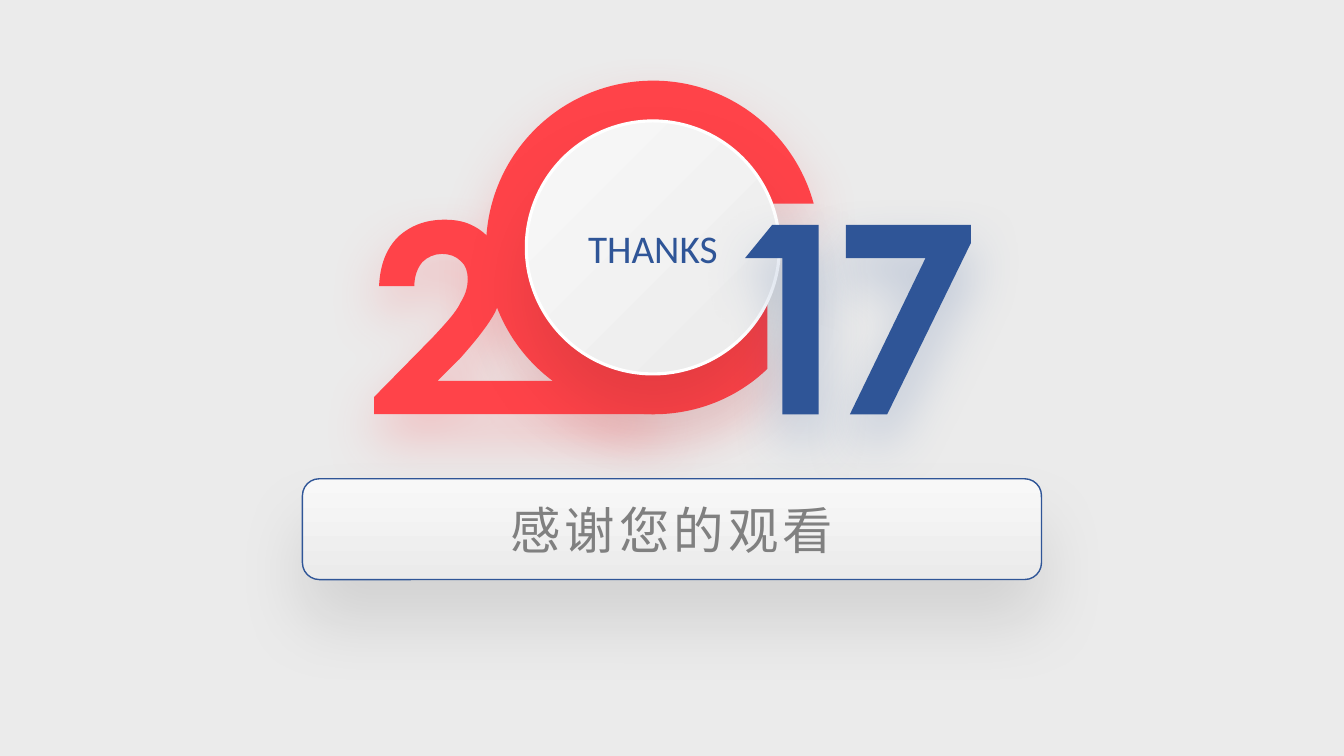
from lxml import etree
from pptx import Presentation
from pptx.dml.color import RGBColor
from pptx.enum.shapes import MSO_SHAPE
from pptx.enum.text import MSO_ANCHOR, PP_ALIGN
from pptx.oxml.ns import qn
from pptx.util import Inches, Pt

ELLIPSE, ROUNDED = MSO_SHAPE.OVAL, MSO_SHAPE.ROUNDED_RECTANGLE
MIDDLE, CENTER = MSO_ANCHOR.MIDDLE, PP_ALIGN.CENTER

COLORS = {"bg": "EBEBEB", "light": "F8F8F8", "red": "FF4349", "blue": "2F5597",
          "white": "FFFFFF", "gray": "808080", "black": "000000"}
GLOW = {"alpha": 25, "blur": 39, "dist": 18}
DROP = {"alpha": 10, "blur": 50, "dist": 30}

TWO = [(4.11, 2.84), (3.76, 2.84),
       (3.77, 2.63, 3.83, 2.47, 3.95, 2.35), (4.07, 2.24, 4.22, 2.18, 4.41, 2.18),
       (4.53, 2.18, 4.62, 2.2, 4.71, 2.25), (4.8, 2.3, 4.87, 2.37, 4.92, 2.46),
       (4.98, 2.55, 5, 2.64, 5, 2.74), (5, 2.85, 4.97, 2.97, 4.91, 3.1),
       (4.84, 3.23, 4.72, 3.38, 4.56, 3.56), (4.34, 3.78), (6.48, 3.78),
       (6.48, 4.11), (3.71, 4.11), (3.71, 3.94), (4.29, 3.35),
       (4.43, 3.2, 4.53, 3.09, 4.57, 3), (4.62, 2.92, 4.64, 2.84, 4.64, 2.77),
       (4.64, 2.7, 4.62, 2.63, 4.57, 2.59), (4.52, 2.54, 4.46, 2.52, 4.38, 2.52),
       (4.31, 2.52, 4.24, 2.55, 4.19, 2.6), (4.14, 2.66, 4.11, 2.74, 4.11, 2.84)]
ZERO = [(6.48, 4.11), (6.92, 4.11, 7.32, 3.94, 7.61, 3.66), (7.61, 3.01),
        (7.41, 3.43, 6.98, 3.72, 6.48, 3.72), (5.78, 3.72, 5.21, 3.16, 5.21, 2.46),
        (5.21, 1.76, 5.78, 1.19, 6.48, 1.19), (7.02, 1.19, 7.49, 1.54, 7.66, 2.02),
        (8.07, 2.02), (7.88, 1.32, 7.24, 0.8, 6.48, 0.8),
        (5.56, 0.8, 4.82, 1.54, 4.82, 2.46), (4.82, 3.37, 5.56, 4.11, 6.48, 4.11)]
ONE = [(7.66, 2.23), (8.12, 2.23), (8.12, 4.11), (7.76, 4.11), (7.76, 2.56),
       (7.39, 2.56), (7.66, 2.23)]
SEVEN = [(8.39, 2.23), (9.63, 2.23), (9.63, 2.41), (8.8, 4.11), (8.43, 4.11),
         (9.18, 2.56), (8.39, 2.56), (8.39, 2.23)]


def rgb(name):
    """Return the named palette colour."""
    return RGBColor.from_string(COLORS[name])


def bend(sp, outline):
    """Turn the straight segments that have control points into curves."""
    lines = list(sp._element.iter(qn("a:lnTo")))
    for line, seg in zip(lines, outline[1:]):
        if len(seg) == 2:
            continue
        curve = etree.Element(qn("a:cubicBezTo"))
        for x, y in zip(seg[::2], seg[1::2]):
            etree.SubElement(curve, qn("a:pt"), x=str(Inches(x) - sp.left),
                             y=str(Inches(y) - sp.top))
        line.getparent().replace(line, curve)


def write(sp, text, size, color, spacing=0, font="Calibri", margin=None):
    """Set the centred, formatted text of a shape."""
    tf = sp.text_frame
    tf.word_wrap = True
    tf.vertical_anchor = MIDDLE
    if margin is not None:
        tf.margin_left = tf.margin_right = tf.margin_top = tf.margin_bottom = margin
    p = tf.paragraphs[0]
    p.alignment = CENTER
    r = p.add_run()
    r.text = text
    r.font.size, r.font.name = Pt(size), font
    r.font.color.rgb = rgb(color)
    if spacing:
        r.font._element.set("spc", str(spacing * 100))


class Deck:
    """Hold the presentation, its current slide and the shared style."""

    def __init__(self):
        """Start a wide presentation with one plain slide."""
        self.prs = Presentation()
        self.prs.slide_width, self.prs.slide_height = Inches(13.33), Inches(7.5)
        self.s = self.prs.slides.add_slide(self.prs.slide_layouts[6])
        fill = self.s.background.fill
        fill.solid()
        fill.fore_color.rgb = rgb("bg")

    def shadow(self, sp, color, alpha, blur, dist):
        """Give a shape a soft shadow that falls straight down."""
        sp.shadow.inherit = False
        effects = sp._element.spPr.find(qn("a:effectLst"))
        outer = etree.SubElement(effects, qn("a:outerShdw"), blurRad=str(Pt(blur)),
                                 dist=str(Pt(dist)), dir="5400000", algn="t",
                                 rotWithShape="0")
        clr = etree.SubElement(outer, qn("a:srgbClr"), val=COLORS[color])
        etree.SubElement(clr, qn("a:alpha"), val=str(alpha * 1000))

    def digit(self, outline, color):
        """Draw a solid digit from its outline."""
        points = [tuple(map(Inches, seg[-2:])) for seg in outline]
        builder = self.s.shapes.build_freeform(*points[0])
        builder.add_line_segments(points[1:], close=True)
        sp = builder.convert_to_shape()
        bend(sp, outline)
        sp.fill.solid()
        sp.fill.fore_color.rgb = rgb(color)
        sp.line.fill.background()
        self.shadow(sp, color, **GLOW)

    def panel(self, kind, box, angle, line, width):
        """Draw a raised panel with a light gradient."""
        sp = self.s.shapes.add_shape(kind, *map(Inches, box))
        sp.fill.gradient()
        sp.fill.gradient_angle = 360 - angle
        for stop, name in zip(sp.fill.gradient_stops, ("light", "bg")):
            stop.color.rgb = rgb(name)
        sp.line.color.rgb = rgb(line)
        sp.line.width = Pt(width)
        self.shadow(sp, "black", **DROP)
        return sp


def main():
    """Build the closing slide."""
    deck = Deck()
    deck.digit(TWO, "red")
    deck.digit(ZERO, "red")
    dial = deck.panel(ELLIPSE, (5.22, 1.2, 2.51, 2.51), 45, "white", 2.25)
    write(dial, "THANKS", 28, "blue", margin=0)
    deck.digit(ONE, "blue")
    deck.digit(SEVEN, "blue")
    banner = deck.panel(ROUNDED, (3, 4.75, 7.33, 1), 90, "blue", 1)
    write(banner, "感谢您的观看", 36, "gray", spacing=3)
    deck.prs.save("out.pptx")


if __name__ == "__main__":
    main()
